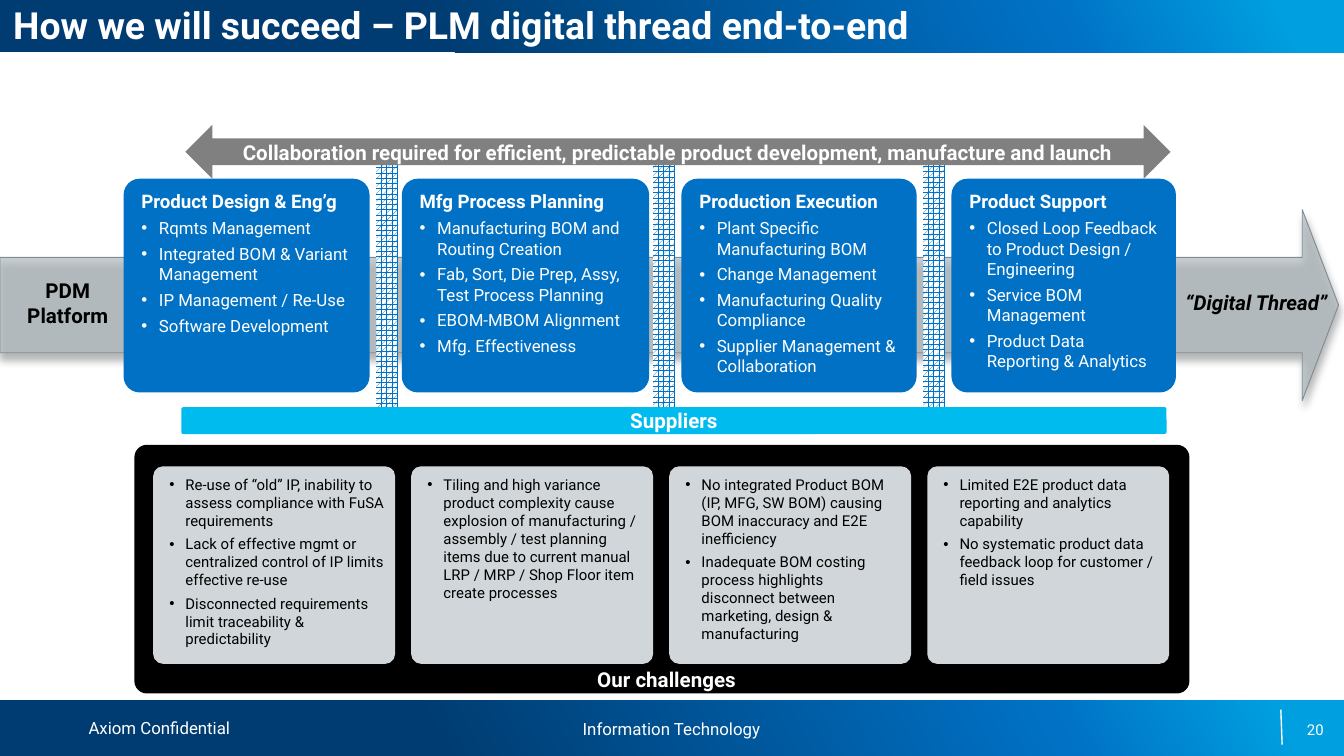
from copy import deepcopy

from lxml import etree
from pptx import Presentation
from pptx.dml.color import RGBColor
from pptx.enum import dml, shapes, text
from pptx.oxml import ns
from pptx.util import Inches, Pt

NAVY = RGBColor(0x00, 0x3C, 0x71)
BLUE = RGBColor(0x00, 0x71, 0xC5)
SKY = RGBColor(0x00, 0x9F, 0xDF)
CYAN = RGBColor(0x00, 0xBB, 0xEE)
STEEL = RGBColor(0xB1, 0xBA, 0xBF)
SLATE = RGBColor(0x7E, 0x8D, 0x96)
GRAY = RGBColor(0x80, 0x80, 0x80)
PALE = RGBColor(0xD0, 0xD6, 0xD9)
BLACK = RGBColor(0, 0, 0)
WHITE = RGBColor(255, 255, 255)

FORM = shapes.MSO_SHAPE
LEFT, CENTER, RIGHT = text.PP_ALIGN.LEFT, text.PP_ALIGN.CENTER, text.PP_ALIGN.RIGHT
MIDDLE = text.MSO_ANCHOR.MIDDLE

deck = Presentation()
deck.slide_width = Inches(10)
deck.slide_height = Inches(10 * 9 / 16)
slide = deck.slides.add_slide(deck.slide_layouts[6])


def add_block(form, box, color=None, corner=None):
    """Add a borderless preset shape, or a text box when form is None."""
    place = [Inches(n) for n in box]
    if form is None:
        return slide.shapes.add_textbox(*place)
    block = slide.shapes.add_shape(form, *place)
    block.shadow.inherit = False
    block.line.fill.background()
    if color is not None:
        block.fill.solid()
        block.fill.fore_color.rgb = color
    if corner is not None:
        block.adjustments[0] = corner
    return block


def write(block, lines, size, color, bold=False, italic=False, align=CENTER,
          anchor=text.MSO_ANCHOR.TOP, hang=0, wrap=True):
    """Append paragraphs to a block; a hang above zero makes them bullets."""
    frame = block.text_frame
    frame.word_wrap = wrap
    frame.vertical_anchor = anchor
    for line in lines:
        first = not frame.text
        para = frame.paragraphs[0] if first else frame.add_paragraph()
        para.alignment = align
        if hang:
            if not first:
                para.space_before = Pt(3)
            props = para._p.get_or_add_pPr()
            props.set("marL", str(Inches(hang)))
            props.set("indent", str(-Inches(hang)))
            etree.SubElement(props, ns.qn("a:buFont")).set("typeface", "Arial")
            etree.SubElement(props, ns.qn("a:buChar")).set("char", "•")
        run = para.add_run()
        run.text = line
        run.font.name, run.font.size = "Roboto", Pt(size)
        run.font.bold, run.font.italic = bold, italic
        run.font.color.rgb = color


# Title and footer bands
bands = []
for top, height in [(-0.02, 0.41), (5.21, 0.42)]:
    band = add_block(FORM.RECTANGLE, (0, top, 10, height))
    band.fill.gradient()
    band.fill.gradient_angle = 29
    stop_list = band.fill._fill._gradFill.gsLst
    stop_list.append(deepcopy(stop_list[0]))
    for stop, position, color in zip(band.fill.gradient_stops, (0.32, 0.78, 0.95), (NAVY, BLUE, SKY)):
        stop.position = position
        stop.color.rgb = color
    bands.append(band)
write(bands[0], ["How we will succeed – PLM digital thread end-to-end"], 20, WHITE,
      bold=True, align=LEFT, anchor=MIDDLE)

divider = slide.shapes.add_connector(shapes.MSO_CONNECTOR.STRAIGHT, Inches(9.53), Inches(5.28),
                                     Inches(9.54), Inches(5.54))
divider.line.color.rgb = WHITE
divider.line.width = Pt(0.75)
etree.SubElement(divider._element.spPr, ns.qn("a:effectLst"))

for box, words, size, align in [
    ((3.81, 5.35, 2.37, 0.15), "Information Technology", 9, CENTER),
    ((0, 5.34, 2.37, 0.15), "Axiom Confidential", 9, CENTER),
    ((7.52, 5.28, 2.33, 0.3), "20", 8, RIGHT),
]:
    footer = add_block(None, box)
    frame = footer.text_frame
    frame.margin_left = frame.margin_right = frame.margin_top = frame.margin_bottom = 0
    write(footer, [words], size, WHITE, align=align, anchor=MIDDLE)

# Digital thread arrow behind the stages
thread = add_block(FORM.RIGHT_ARROW, (0, 1.56, 9.96, 1.42), STEEL)
thread.adjustments[0], thread.adjustments[1] = 0.5, 0.19
thread.line.color.rgb = SLATE
thread.line.width = Pt(0.5)
tint = thread._element.spPr.find(ns.qn("a:solidFill"))[0]
etree.SubElement(tint, ns.qn("a:alpha")).set("val", "71000")
effects = thread._element.spPr.find(ns.qn("a:effectLst"))
shade = etree.SubElement(effects, ns.qn("a:outerShdw"), blurRad=str(Pt(4)), dist=str(Pt(3)),
                         dir="5400000", rotWithShape="0")
shade_color = etree.SubElement(shade, ns.qn("a:srgbClr"), val="000000")
etree.SubElement(shade_color, ns.qn("a:alpha"), val="40000")

# Stages
for left, width, heading, tasks in [
    (0.92, 1.83, "Product Design & Eng’g",
     ["Rqmts Management", "Integrated BOM & Variant Management",
      "IP Management / Re-Use", "Software Development"]),
    (2.99, 1.84, "Mfg Process Planning",
     ["Manufacturing BOM and Routing Creation", "Fab, Sort, Die Prep, Assy, Test Process Planning",
      "EBOM-MBOM Alignment", "Mfg. Effectiveness"]),
    (5.07, 1.75, "Production Execution",
     ["Plant Specific Manufacturing BOM", "Change Management",
      "Manufacturing Quality Compliance", "Supplier Management & Collaboration"]),
    (7.08, 1.67, "Product Support",
     ["Closed Loop Feedback to Product Design / Engineering", "Service BOM Management",
      "Product Data Reporting & Analytics"]),
]:
    stage = add_block(FORM.ROUNDED_RECTANGLE, (left, 1.33, width, 1.59), BLUE, 0.075)
    write(stage, [heading], 10, WHITE, bold=True, align=LEFT)
    write(stage, tasks, 9, WHITE, align=LEFT, hang=0.13)

# Challenges, each with its right margin
add_block(FORM.ROUNDED_RECTANGLE, (1, 3.31, 7.85, 1.85), BLACK, 0.05)
for column, (margin, issues) in enumerate([
    (0.05, ["Re-use of “old” IP, inability to assess compliance with FuSA requirements",
            "Lack of effective mgmt or centralized control of IP limits effective re-use",
            "Disconnected requirements limit traceability & predictability"]),
    (0.05, ["Tiling and high variance product complexity cause explosion of manufacturing / assembly / "
            "test planning items due to current manual LRP / MRP / Shop Floor item create processes"]),
    (0.07, ["No integrated Product BOM (IP, MFG, SW BOM) causing BOM inaccuracy and E2E inefficiency",
            "Inadequate BOM costing process highlights disconnect between marketing, design & "
            "manufacturing"]),
    (0.05, ["Limited E2E product data reporting and analytics capability",
            "No systematic product data feedback loop for customer / field issues"]),
]):
    challenge = add_block(FORM.ROUNDED_RECTANGLE, (1.14 + 1.92 * column, 3.47, 1.8, 1.47), PALE, 0.05)
    challenge.text_frame.margin_right = Inches(margin)
    write(challenge, issues, 8, BLACK, align=LEFT, hang=0.12)

# Barriers between stages
for left, top in [(2.8, 1.17), (4.86, 1.2), (6.87, 1.2)]:
    barrier = add_block(FORM.RECTANGLE, (left, top, 0.16, 1.87))
    barrier.fill.patterned()
    barrier.fill.pattern = dml.MSO_PATTERN.SPHERE
    barrier.fill.fore_color.rgb = BLUE
    barrier.fill.back_color.rgb = WHITE

# Spanning bars
suppliers = add_block(FORM.ROUNDED_RECTANGLE, (1.35, 3.03, 7.33, 0.2), CYAN, 0.075)
write(suppliers, ["Suppliers"], 11, WHITE, bold=True, anchor=MIDDLE)
collaboration = add_block(FORM.LEFT_RIGHT_ARROW, (1.38, 0.93, 7.33, 0.4), GRAY)
write(collaboration,
      ["Collaboration required for efficient, predictable product development, manufacture and launch"],
      11, WHITE, bold=True, anchor=MIDDLE)

# Labels
for box, words, color, italic, wrap in [
    ((4.3, 4.91, 1.32, 0.29), ["Our challenges"], WHITE, False, False),
    ((0.09, 2.02, 0.83, 0.47), ["PDM", "Platform"], BLACK, False, False),
    ((8.6, 2.11, 1.5, 0.29), ["“Digital Thread”"], BLACK, True, True),
]:
    write(add_block(None, box), words, 11, color, bold=True, italic=italic, wrap=wrap)

deck.save("out.pptx")
